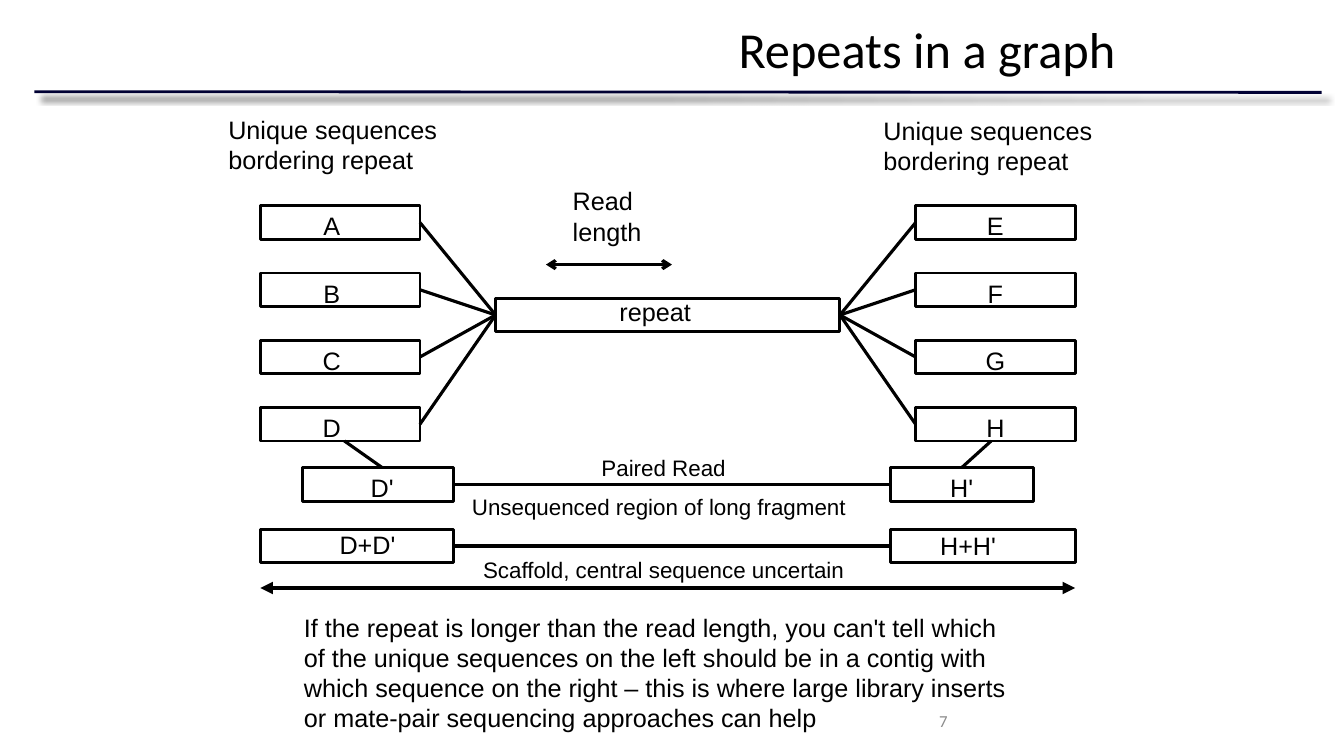
from lxml import etree
from pptx import Presentation
from pptx.dml.color import RGBColor
from pptx.enum import shapes, text
from pptx.oxml import ns
from pptx.util import Pt

HUES = {"ink": "000000", "paper": "FFFFFF", "navy": "000033", "grey": "8C8C8C"}
LEFT, MID, RIGHT = (text.PP_ALIGN.LEFT, text.PP_ALIGN.CENTER, text.PP_ALIGN.RIGHT)
HIGH = 24  # height of every sequence box

deck = Presentation()
deck.slide_width, deck.slide_height = Pt(960), Pt(540)
slide = deck.slides.add_slide(deck.slide_layouts[6])


def write(words, left, top, wide, high, align=LEFT, size=18, face="Arial",
          hue="ink", anchor=text.MSO_ANCHOR.TOP):
    box = slide.shapes.add_textbox(Pt(left), Pt(top), Pt(wide), Pt(high))
    frame = box.text_frame
    frame.word_wrap, frame.vertical_anchor = True, anchor
    para = frame.paragraphs[0]
    para.text, para.alignment = words, align
    for key, value in {"size": Pt(size), "name": face}.items():
        setattr(para.font, key, value)
    para.font.color.rgb = RGBColor.from_string(HUES[hue])


def draw(start=(0, 0), end=(0, 0), width=2.25, hue="ink", tips=None, joins=()):
    """Draw a line; joins holds (box, side) for its start and then its end."""
    line = slide.shapes.add_connector(
        shapes.MSO_CONNECTOR.STRAIGHT, *[Pt(n) for n in (*start, *end)])
    for join, (box, side) in zip((line.begin_connect, line.end_connect), joins):
        join(box, side)
    line.line.width = Pt(width)
    line.line.color.rgb = RGBColor.from_string(HUES[hue])
    if tips:
        for tag in ("a:headEnd", "a:tailEnd"):
            etree.SubElement(line.line._ln, ns.qn(tag), type=tips)
    return etree.SubElement(line._element.spPr, ns.qn("a:effectLst"))


# Header
glow = draw((24.5, 65.5), (944, 66), 2, "navy")
shade = etree.SubElement(glow, ns.qn("a:outerShdw"), blurRad=str(Pt(4)),
                         dist=str(Pt(6)), dir="2700000", rotWithShape="0")
black = etree.SubElement(shade, ns.qn("a:srgbClr"), val=HUES["ink"])
etree.SubElement(black, ns.qn("a:alpha"), val="50000")
write("Repeats in a graph", 156, 3.5, 648, 62.5, RIGHT, 36, "Calibri",
      anchor=text.MSO_ANCHOR.MIDDLE)

# Sequence boxes: name -> left, top, width, label left, label top, label width
plan = {"repeat": (354, 213, 246, 378, 208, 180)}
for names, left in (("ABCD", 186), ("EFGH", 654)):
    for row, name in enumerate(names):
        top = 147 + 48 * row
        shift = 30 if left == 186 else 36
        plan[name] = (left, top, 114, left + shift, top, 42)
plan |= {
    "D'": (216, 334, 108, 252, 334, 42),
    "H'": (636, 334, 102, 666, 334, 42),
    "D+D'": (186, 378, 138, 228, 374.5, 69),
    "H+H'": (636, 378, 132, 657, 375, 69),
}
boxes = {}
for name, (left, top, wide, *label) in plan.items():
    box = slide.shapes.add_shape(shapes.MSO_SHAPE.RECTANGLE, Pt(left), Pt(top),
                                 Pt(wide), Pt(HIGH))
    box.shadow.inherit = False
    box.fill.solid()
    box.fill.fore_color.rgb = RGBColor.from_string(HUES["paper"])
    box.line.color.rgb = RGBColor.from_string(HUES["ink"])
    box.line.width = Pt(2)
    write(name, *label, 29, MID)
    boxes[name] = box

# Graph edges
for names, near, far in (("ABCD", 3, 1), ("EFGH", 1, 3)):
    for name in names:
        draw(joins=[(boxes[name], near), (boxes["repeat"], far)])
for one, two in (("D'", "H'"), ("D+D'", "H+H'")):
    draw(joins=[(boxes[one], 3), (boxes[two], 1)])
draw((273, 334), (246, 315))
draw((687, 334), (708, 315), joins=[(boxes["H'"], 0)])
draw((390, 189), (480, 189), tips="arrow")
draw((186, 420), (768, 420), 3, tips="triangle")

# Captions
for left, top in ((156, 78), (624, 78.5)):
    write("Unique sequences bordering repeat", left, top, 174, 51)
write("Read length", 402, 129, 96, 51)
for words, left, top, align in (
    ("Paired Read", 324, 321, MID),
    ("Unsequenced region of long fragment", 330, 348.5, LEFT),
    ("Scaffold, central sequence uncertain", 324, 393.5, MID),
):
    write(words, left, top, 300, 26.5, align, 16)
write("If the repeat is longer than the read length, you can't tell which of the "
      "unique sequences on the left should be in a contig with which sequence on "
      "the right – this is where large library inserts or mate-pair sequencing "
      "approaches can help", 210, 433.5, 528, 94.5)
write("7", 516, 500.5, 168, 29, RIGHT, 12, "Calibri", "grey",
      text.MSO_ANCHOR.MIDDLE)

deck.save("out.pptx")
